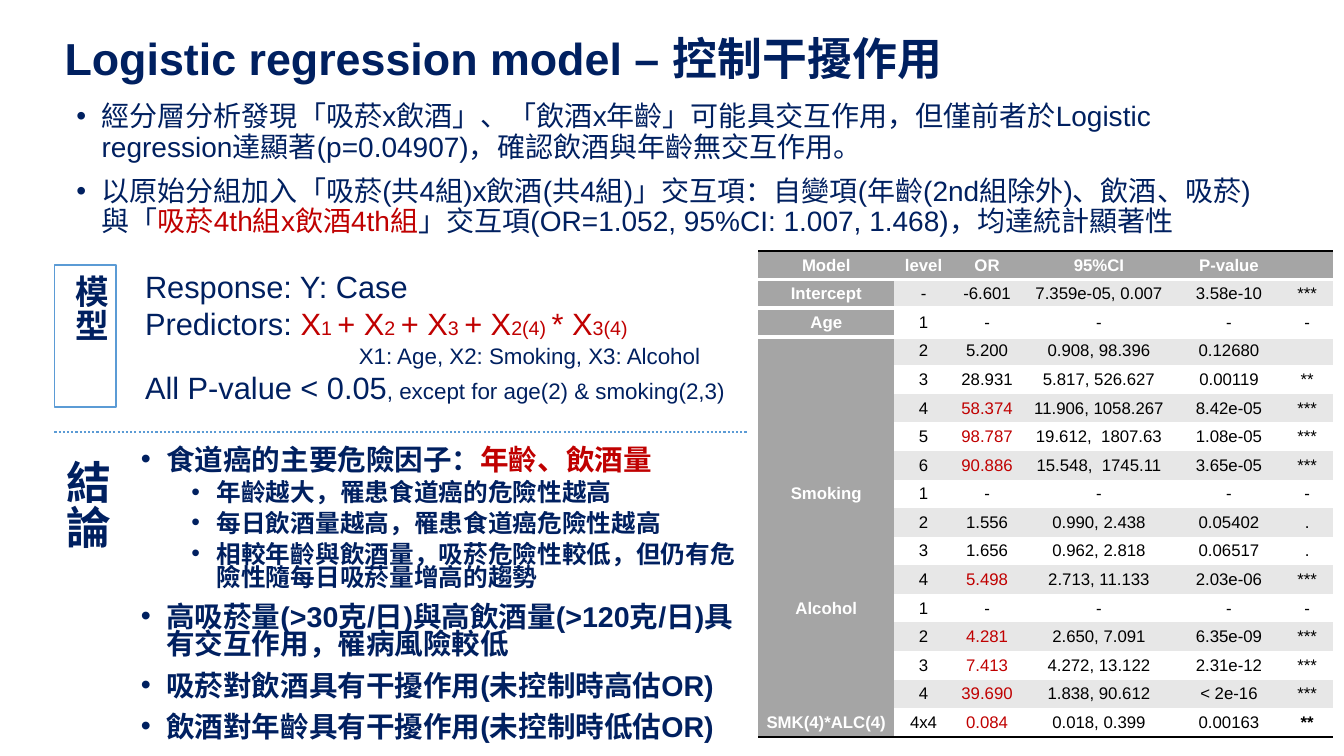
from dataclasses import dataclass
from typing import Optional

from lxml.etree import SubElement
from pptx import Presentation
from pptx.dml.color import RGBColor
from pptx.enum.dml import MSO_LINE
from pptx.enum.shapes import MSO_CONNECTOR, MSO_SHAPE
from pptx.enum.text import MSO_ANCHOR, MSO_AUTO_SIZE, PP_ALIGN
from pptx.oxml.ns import qn
from pptx.util import Inches, Pt

FONT = "Arial"
NAVY, RED, BLUE = "002060", "C00000", "5B9BD5"
WHITE, BLACK, GRAY, BAND = "FFFFFF", "000000", "A5A5A5", "E7E7E7"
TABLE_STYLE = "{2D5ABB26-0587-4C30-8999-92F81FD0307C}"
COLUMN_WIDTHS = (1.35, 0.58, 0.68, 1.54, 1.04, 0.51)
TABLE_HEIGHT = 4.82


@dataclass
class Piece:
    text: str
    size: Optional[float] = None
    color: Optional[str] = None


@dataclass
class Line:
    pieces: list[Piece]
    size: float
    bold: bool = False
    indent: float = 0
    bullet: bool = False
    spacing: float = 1
    before: float = 0
    align: PP_ALIGN = PP_ALIGN.LEFT


@dataclass
class ModelRow:
    group: str
    level: str
    odds_ratio: str
    interval: str
    p_value: str
    stars: str
    highlighted: bool = False


def hex_color(value: str) -> RGBColor:
    return RGBColor.from_string(value)


def set_font(font, size: Optional[float], color: Optional[str], bold: Optional[bool] = None) -> None:
    font.name = FONT
    if size:
        font.size = Pt(size)
    if color:
        font.color.rgb = hex_color(color)
    font.bold = bold


def write_lines(frame, lines: list[Line]) -> None:
    frame.word_wrap = True
    for index, line in enumerate(lines):
        paragraph = frame.paragraphs[0] if index == 0 else frame.add_paragraph()
        properties = paragraph._p.get_or_add_pPr()
        properties.set("marL", str(Inches(line.indent)))
        properties.set("indent", str(Inches(-0.25 if line.bullet else 0)))
        if line.bullet:
            SubElement(properties, qn("a:buFont"), typeface=FONT)
            SubElement(properties, qn("a:buChar"), char="•")
        paragraph.alignment = line.align
        paragraph.line_spacing = line.spacing
        paragraph.space_before = Pt(line.before)
        set_font(paragraph.font, line.size, NAVY, line.bold)
        for piece in line.pieces:
            run = paragraph.add_run()
            run.text = piece.text
            if piece.size or piece.color:
                set_font(run.font, piece.size, piece.color)


def add_text(slide, left: float, top: float, width: float, height: float, lines: list[Line]):
    box = slide.shapes.add_textbox(Inches(left), Inches(top), Inches(width), Inches(height))
    write_lines(box.text_frame, lines)
    return box


def add_border(cell, side: str, color: str, width: float) -> None:
    border = SubElement(cell._tc.get_or_add_tcPr(), qn(f"a:ln{side}"), w=str(Pt(width)))
    fill = SubElement(border, qn("a:solidFill"))
    SubElement(fill, qn("a:srgbClr"), val=color)


def fill_cell(cell, text: str, fill: str, color: str, bold: bool) -> None:
    cell.fill.solid()
    cell.fill.fore_color.rgb = hex_color(fill)
    cell.vertical_anchor = MSO_ANCHOR.MIDDLE
    cell.margin_left = cell.margin_right = Inches(0.07)
    cell.margin_top = cell.margin_bottom = 0
    paragraph = cell.text_frame.paragraphs[0]
    paragraph.alignment = PP_ALIGN.CENTER
    set_font(paragraph.font, 12, color, bold)
    if text:
        paragraph.add_run().text = text
    else:
        SubElement(paragraph._p, qn("a:endParaRPr"), sz="1200")


def add_model_table(slide, rows: list[ModelRow]) -> None:
    frame = slide.shapes.add_table(len(rows), len(COLUMN_WIDTHS), Inches(7.52), Inches(2.49),
                                   Inches(sum(COLUMN_WIDTHS)), Inches(TABLE_HEIGHT))
    table = frame.table
    frame.element.find(".//" + qn("a:tableStyleId")).text = TABLE_STYLE
    for column, width in zip(table.columns, COLUMN_WIDTHS):
        column.width = Inches(width)
    last = len(rows) - 1
    for r, row in enumerate(rows):
        table.rows[r].height = Inches(TABLE_HEIGHT / len(rows))
        texts = (row.group, row.level, row.odds_ratio, row.interval, row.p_value, row.stars)
        for c, text in enumerate(texts):
            cell = table.cell(r, c)
            if r <= 2:
                add_border(cell, "T", BLACK if r == 0 else WHITE, 2 if r == 0 else 3)
            if r <= 1:
                add_border(cell, "B", WHITE, 3)
            if r == last:
                add_border(cell, "B", BLACK, 2)
            heading = r == 0 or c == 0
            fill = GRAY if heading else BAND if r % 2 else WHITE
            color = WHITE if heading else RED if c == 2 and row.highlighted else BLACK
            fill_cell(cell, text, fill, color, heading or (r == last and c == 5))


def set_vertical(shape) -> None:
    shape.element.txBody.bodyPr.set("vert", "eaVert")


def finding(*pieces: Piece) -> Line:
    return Line(list(pieces), 20.4, True, 0.25, True, 0.8, 10)


def detail(text: str) -> Line:
    return Line([Piece(text)], 17.6, True, 0.75, True, 0.8, 5)


INTRO = [
    [Piece("經分層分析發現「吸菸x飲酒」、「飲酒x年齡」可能具交互作用，但僅前者於Logistic regression達顯著(p=0.04907)，確認飲酒與年齡無交互作用。")],
    [Piece("以原始分組加入「吸菸(共4組)x飲酒(共4組)」交互項：自變項(年齡(2nd組除外)、飲酒、吸菸)與「"),
     Piece("吸菸4th組x飲酒4th組", color=RED),
     Piece("」交互項(OR=1.052, 95%CI: 1.007, 1.468)，均達統計顯著性")],
]
TERMS = [("X", "1 "), ("+ X", "2 "), ("+ X", "3 "), ("+ X", "2(4) "), ("* X", "3(4)")]
PREDICTORS = [Piece(text, size, RED) for term in TERMS for text, size in zip(term, (22, 14))]
FORMULA = [
    Line([Piece("Response: Y: Case")], 22, indent=0.5),
    Line([Piece("Predictors: "), *PREDICTORS], 22, indent=0.5),
    Line([Piece("X1: Age, X2: Smoking, X3: Alcohol")], 16, indent=2.62),
    Line([Piece("All P-value < 0.05"), Piece(", except for age(2) & smoking(2,3)", 16)], 22, indent=0.5),
]
CONCLUSIONS = [
    finding(Piece("食道癌的主要危險因子："), Piece("年齡、飲酒量", color=RED)),
    detail("年齡越大，罹患食道癌的危險性越高"),
    detail("每日飲酒量越高，罹患食道癌危險性越高"),
    detail("相較年齡與飲酒量，吸菸危險性較低，但仍有危險性隨每日吸菸量增高的趨勢"),
    finding(Piece("高吸菸量(>30克/日)與高飲酒量(>120克/日)具有交互作用，罹病風險較低")),
    finding(Piece("吸菸對飲酒具有干擾作用(未控制時高估OR)")),
    finding(Piece("飲酒對年齡具有干擾作用(未控制時低估OR)")),
]
MODEL_ROWS = [
    ModelRow("Model", "level", "OR", "95%CI", "P-value", ""),
    ModelRow("Intercept", "-", "-6.601", "7.359e-05, 0.007", "3.58e-10", "***"),
    ModelRow("Age", "1", "-", "-", "-", "-"),
    ModelRow("", "2", "5.200", "0.908, 98.396", "0.12680", ""),
    ModelRow("", "3", "28.931", "5.817, 526.627", "0.00119", "**"),
    ModelRow("", "4", "58.374", "11.906, 1058.267", "8.42e-05", "***", True),
    ModelRow("", "5", "98.787", "19.612,  1807.63", "1.08e-05", "***", True),
    ModelRow("", "6", "90.886", "15.548,  1745.11", "3.65e-05", "***", True),
    ModelRow("Smoking", "1", "-", "-", "-", "-"),
    ModelRow("", "2", "1.556", "0.990, 2.438", "0.05402", "."),
    ModelRow("", "3", "1.656", "0.962, 2.818", "0.06517", "."),
    ModelRow("", "4", "5.498", "2.713, 11.133", "2.03e-06", "***", True),
    ModelRow("Alcohol", "1", "-", "-", "-", "-"),
    ModelRow("", "2", "4.281", "2.650, 7.091", "6.35e-09", "***", True),
    ModelRow("", "3", "7.413", "4.272, 13.122", "2.31e-12", "***", True),
    ModelRow("", "4", "39.690", "1.838, 90.612", "< 2e-16", "***", True),
    ModelRow("SMK(4)*ALC(4)", "4x4", "0.084", "0.018, 0.399", "0.00163", "**", True),
]


def main() -> None:
    presentation = Presentation()
    presentation.slide_width, presentation.slide_height = Inches(13.33), Inches(7.5)
    slide = presentation.slides.add_slide(presentation.slide_layouts[5])

    title = slide.shapes.title
    title.left, title.top, title.width, title.height = map(Inches, (0.54, 0.31, 9.28, 0.6))
    title.text_frame.auto_size = MSO_AUTO_SIZE.NONE
    title.text_frame.vertical_anchor = MSO_ANCHOR.MIDDLE
    write_lines(title.text_frame, [Line([Piece("Logistic regression model – 控制干擾作用")], 32, True, spacing=0.9)])

    add_text(slide, 0.66, 0.97, 12.01, 1.45,
             [Line(pieces, 20, False, 0.25, True, 0.9, 10) for pieces in INTRO])
    add_model_table(slide, MODEL_ROWS)
    add_text(slide, 1.3, 4.4, 6.12, 3.05, CONCLUSIONS)

    divider = slide.shapes.add_connector(MSO_CONNECTOR.STRAIGHT, Inches(0.54), Inches(4.29), Inches(7.41), Inches(4.29))
    divider.line.color.rgb = hex_color(BLUE)
    divider.line.width = Pt(1.5)
    divider.line.dash_style = MSO_LINE.ROUND_DOT
    SubElement(divider.element.spPr, qn("a:effectLst"))

    add_text(slide, 0.84, 2.61, 7.89, 1.48, FORMULA)

    model_label = slide.shapes.add_shape(MSO_SHAPE.RECTANGLE, Inches(0.54), Inches(2.63), Inches(0.61), Inches(1.41))
    model_label.shadow.inherit = False
    model_label.fill.solid()
    model_label.fill.fore_color.rgb = hex_color(WHITE)
    model_label.line.color.rgb = hex_color(BLUE)
    model_label.line.width = Pt(1)
    model_label.text_frame.vertical_anchor = MSO_ANCHOR.TOP
    model_label.text_frame.auto_size = MSO_AUTO_SIZE.SHAPE_TO_FIT_TEXT
    write_lines(model_label.text_frame, [Line([Piece("模型")], 24, True, align=PP_ALIGN.CENTER)])
    set_vertical(model_label)

    conclusion_label = add_text(slide, 0.52, 4.47, 0.62, 1.2, [Line([Piece("結論")], 32, True, spacing=0.9)])
    conclusion_label.text_frame.vertical_anchor = MSO_ANCHOR.MIDDLE
    set_vertical(conclusion_label)
    presentation.save("out.pptx")


if __name__ == "__main__":
    main()
